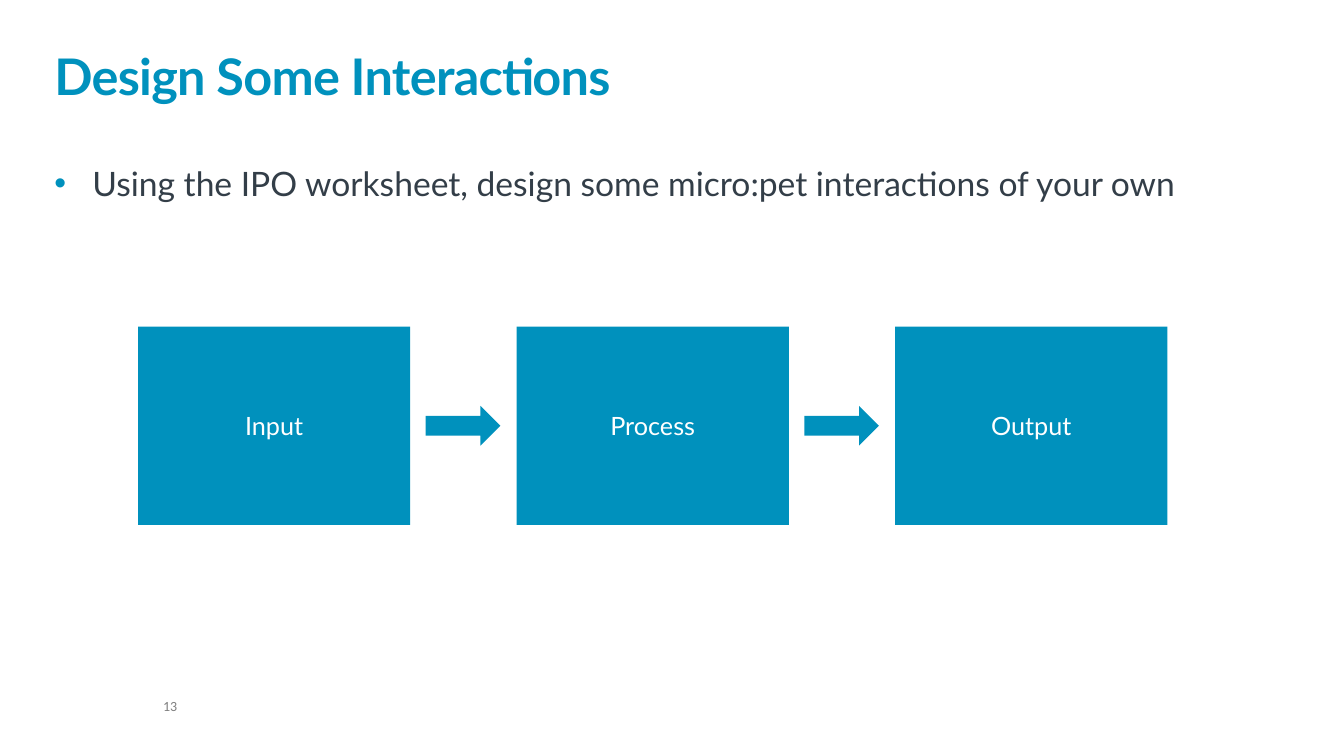
import dataclasses

import pptx
import pptx.dml.color
import pptx.enum.shapes
import pptx.enum.text
import pptx.oxml
import pptx.oxml.ns
import pptx.util
from pptx.util import Cm

BLUE, SLATE, GREY, WHITE = "0091BD", "333E48", "7F7F7F", "FFFFFF"
ALIGN = pptx.enum.text.PP_ALIGN
ANCHOR = pptx.enum.text.MSO_ANCHOR
SHAPE = pptx.enum.shapes.MSO_SHAPE


@dataclasses.dataclass
class Area:
    """Place and size in centimetres."""
    left: float
    top: float
    width: float
    height: float

    def lengths(self) -> tuple:
        return tuple(Cm(value) for value in dataclasses.astuple(self))


@dataclasses.dataclass
class TextStyle:
    size: float
    color: str
    name: str = "Lato"
    bold: bool = False


def rgb(value: str) -> pptx.dml.color.RGBColor:
    return pptx.dml.color.RGBColor.from_string(value)


def set_all(target, values: dict) -> None:
    for key, value in values.items():
        setattr(target, key, value)


def write(shape, text: str, style: TextStyle, paragraph_format: dict,
          anchor=ANCHOR.TOP, margin: float = 0):
    """Fill a shape with one formatted paragraph and return it."""
    frame = shape.text_frame
    set_all(frame, {
        "word_wrap": True, "vertical_anchor": anchor,
        "auto_size": pptx.enum.text.MSO_AUTO_SIZE.NONE,
        "margin_left": Cm(margin), "margin_right": Cm(margin),
        "margin_top": Cm(margin / 2), "margin_bottom": Cm(margin / 2),
    })
    paragraph = frame.paragraphs[0]
    set_all(paragraph, paragraph_format)
    run = paragraph.add_run()
    run.text = text
    set_all(run.font, {"size": pptx.util.Pt(style.size), "name": style.name,
                       "bold": style.bold})
    run.font.color.rgb = rgb(style.color)
    return paragraph


def add_bullet(paragraph, color: str, indent: float) -> None:
    properties = paragraph._p.get_or_add_pPr()
    properties.set("marL", str(Cm(indent)))
    properties.set("indent", str(-Cm(indent)))
    namespace = pptx.oxml.ns.nsdecls("a")
    for xml in (f'<a:buClr {namespace}><a:srgbClr val="{color}"/></a:buClr>',
                f'<a:buFont {namespace} typeface="Arial"/>',
                f'<a:buChar {namespace} char="•"/>'):
        properties.append(pptx.oxml.parse_xml(xml))


def add_block(slide, kind, area: Area):
    block = slide.shapes.add_shape(kind, *area.lengths())
    block.shadow.inherit = False
    block.fill.solid()
    block.fill.fore_color.rgb = rgb(BLUE)
    block.line.fill.background()
    return block


def main() -> None:
    deck = pptx.Presentation()
    set_all(deck, {"slide_width": Cm(33.87), "slide_height": Cm(19.05)})
    slide = deck.slides.add_slide(deck.slide_layouts[5])

    # Title
    title = slide.shapes.title
    set_all(title, dict(zip(("left", "top", "width", "height"),
                            Area(1.37, 0.81, 31.06, 1.85).lengths())))
    heading = write(title, "Design Some Interactions",
                    TextStyle(36, BLUE, bold=True),
                    {"alignment": ALIGN.LEFT, "line_spacing": 0.85}, ANCHOR.BOTTOM)
    heading.runs[0].font._element.set("spc", "-50")

    # Task
    task_box = slide.shapes.add_textbox(*Area(1.37, 4.11, 31.06, 11.35).lengths())
    task = write(task_box,
                 "Using the IPO worksheet, design some micro:pet interactions of your own",
                 TextStyle(24, SLATE), {"alignment": ALIGN.LEFT})
    add_bullet(task, BLUE, 0.96)

    # Input, process and output stages, joined by arrows
    stages = ("Input", "Process", "Output")
    first = Area(3.48, 8.23, 6.86, 5)
    step, arrow_offset = 9.54, 7.25
    for index, stage in enumerate(stages):
        left = first.left + index * step
        block = add_block(slide, SHAPE.RECTANGLE, dataclasses.replace(first, left=left))
        write(block, stage, TextStyle(18, WHITE), {"alignment": ALIGN.CENTER},
              ANCHOR.MIDDLE, 0.25)
        if index < len(stages) - 1:
            add_block(slide, SHAPE.RIGHT_ARROW,
                      Area(left + arrow_offset, 10.23, 1.88, 1))

    # Page number
    page_number = slide.shapes.add_textbox(*Area(4.11, 17.63, 3.02, 0.38).lengths())
    write(page_number, "13", TextStyle(10, GREY, "Calibri"),
          {"line_spacing": 0.9, "space_after": pptx.util.Pt(6)})

    deck.save("out.pptx")


if __name__ == "__main__":
    main()
